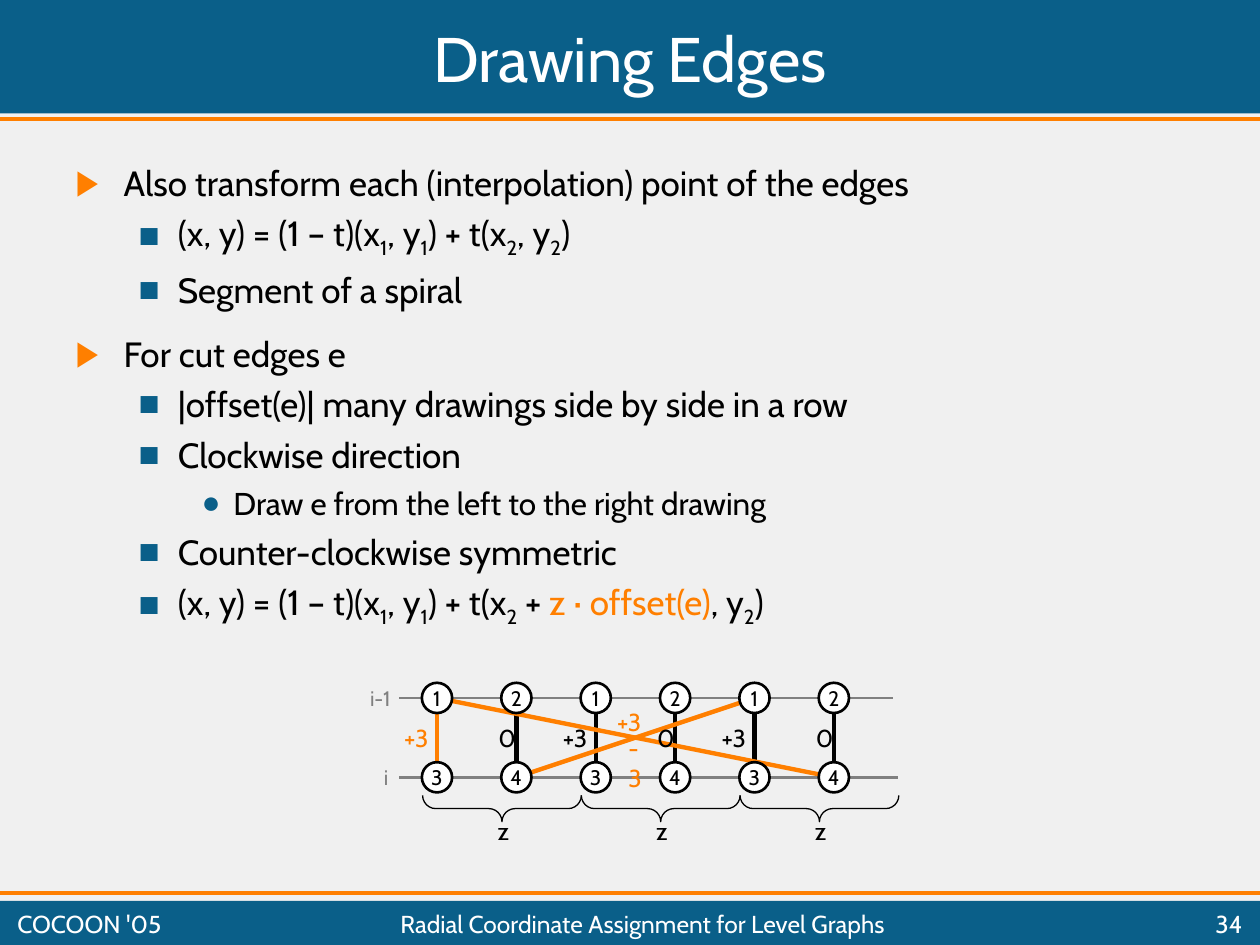
from lxml.etree import SubElement
from pptx import Presentation
from pptx.dml.color import RGBColor
from pptx.enum.shapes import MSO_CONNECTOR, MSO_SHAPE
from pptx.enum.text import MSO_ANCHOR, MSO_AUTO_SIZE, PP_ALIGN
from pptx.oxml.ns import qn
from pptx.util import Cm, Pt

FONT = "Cabin"
BLUE = RGBColor(0x0A, 0x5F, 0x89)
ORANGE = RGBColor(0xFF, 0x7F, 0x00)
GRAY = RGBColor(0x80, 0x80, 0x80)
BLACK = RGBColor(0, 0, 0)
WHITE = RGBColor(0xFF, 0xFF, 0xFF)
PAPER = RGBColor(0xF0, 0xF0, 0xF0)

# Content: a list item is (level, runs), a run is (text, style)
TITLE = "Drawing Edges"
START = [("(x, y) = (1 – t)(x", ""), ("1", "sub"), (", y", ""), ("1", "sub"),
         (") + t(x", ""), ("2", "sub")]
END = [(", y", ""), ("2", "sub"), (")", "")]
ITEMS = [
    (0, [("Also transform each (interpolation) point of the edges", "")]),
    (1, START + END),
    (1, [("Segment of a spiral", "")]),
    (0, [("For cut edges e", "")]),
    (1, [("|offset(e)| many drawings side by side in a row", "")]),
    (1, [("Clockwise direction", "")]),
    (2, [("Draw e from the left to the right drawing", "")]),
    (1, [("Counter-clockwise symmetric", "")]),
    (1, START + [(" + ", ""), ("z · offset(e)", "accent")] + END),
]
# Level: bullet, bullet colour, text indent (cm), hanging (cm), size, space before
LEVELS = [("▶", ORANGE, 0.97, 0.97, 20, 12.5),
          ("■", BLUE, 2.06, 0.79, 20, 5),
          ("●", BLUE, 3.18, 0.64, 18, 4.5)]
# Footer: text, left, width, alignment
FOOTER = [("Radial Coordinate Assignment for Level Graphs", 3.81, 18.29, PP_ALIGN.CENTER),
          ("34", 22.3, 3, PP_ALIGN.RIGHT),
          ("COCOON '05", 0.1, 3.66, PP_ALIGN.LEFT)]

# Level graph grid (cm): three drawings of width PERIOD, two columns each
TOP, BOTTOM, NODE = 14.07, 15.67, 0.61
PERIOD = 3.2
COLUMNS = [8.81 + PERIOD / 2 * i for i in range(6)]
ROWS = [(TOP, "12"), (BOTTOM, "34")]
# Labels: text, left, top, width, size, colour
LABELS = [("i-1", 7.21, 13.69, 0.99, 12, GRAY),
          ("i", 7.49, 15.29, 0.61, 12, GRAY),
          ("+3", 12.19, 14.12, 1.07, 14, ORANGE)]
for k in range(3):
    LABELS += [("0", 9.8 + PERIOD * k, 14.45, 0.79, 14, BLACK),
               ("+3", 7.9 + PERIOD * k, 14.45, 1.07, 14, BLACK if k else ORANGE),
               ("z", 9.78 + PERIOD * k, 16.33, 0.74, 14, BLACK)]

prs = Presentation()
prs.slide_width, prs.slide_height = Cm(25.4), Cm(19.05)
s = prs.slides.add_slide(prs.slide_layouts[1])
s.background.fill.solid()
s.background.fill.fore_color.rgb = PAPER


def place(sp, *box):
    sp.left, sp.top, sp.width, sp.height = [Cm(v) for v in box]


def style(r, size, color):
    r.font.name, r.font.size, r.font.color.rgb = FONT, Pt(size), color


def add_line(x1, y1, x2, y2, color, width):
    c = s.shapes.add_connector(MSO_CONNECTOR.STRAIGHT, Cm(x1), Cm(y1), Cm(x2), Cm(y2))
    c.line.color.rgb, c.line.width = color, Pt(width)
    SubElement(c._element.spPr, qn("a:effectLst"))


def add_shape(kind, box, fill=None, line=None):
    sp = s.shapes.add_shape(kind, *[Cm(v) for v in box])
    sp.shadow.inherit = False
    if fill is None:
        sp.fill.background()
    else:
        sp.fill.solid()
        sp.fill.fore_color.rgb = fill
    if line is None:
        sp.line.fill.background()
    else:
        sp.line.color.rgb, sp.line.width = BLACK, Pt(line)
    return sp


def set_text(sp, text, size, color, align=PP_ALIGN.LEFT, anchor=MSO_ANCHOR.TOP, wrap=True):
    tf = sp.text_frame
    tf.text, tf.word_wrap, tf.vertical_anchor = text, wrap, anchor
    p = tf.paragraphs[0]
    p.alignment = align
    style(p.runs[0], size, color)


def set_bullet(p, char, color, indent, hanging):
    pPr = p._p.get_or_add_pPr()
    pPr.set("marL", str(Cm(indent)))
    pPr.set("indent", str(-Cm(hanging)))
    SubElement(SubElement(pPr, qn("a:buClr")), qn("a:srgbClr"), val=str(color))
    SubElement(pPr, qn("a:buChar"), char=char)


# Bands and rules; the title and body placeholders then go in front
title, body = s.shapes.title, s.placeholders[1]
for top, height in [(0, 2.29), (18.16, 0.89)]:
    add_shape(MSO_SHAPE.RECTANGLE, (0, top, 25.4, height), BLUE)
for y in (2.39, 18.01):
    add_line(0, y, 25.4, y, ORANGE, 2.25)
for sp in (title, body):
    s.shapes._spTree.append(sp._element)

# Title
place(title, 0.1, 0.1, 25.2, 2.11)
set_text(title, TITLE, 36, WHITE, PP_ALIGN.CENTER, MSO_ANCHOR.MIDDLE)

# Bulleted list
place(body, 1.27, 3.12, 22.73, 9.65)
tf = body.text_frame
tf.auto_size = MSO_AUTO_SIZE.NONE
for i, (level, runs) in enumerate(ITEMS):
    char, color, indent, hanging, size, before = LEVELS[level]
    p = tf.add_paragraph() if i else tf.paragraphs[0]
    p.level, p.space_before = level, Pt(before)
    set_bullet(p, char, color, indent, hanging)
    for text, kind in runs:
        r = p.add_run()
        r.text = text
        style(r, size, ORANGE if kind == "accent" else BLACK)
        if kind == "sub":
            r.font._element.set("baseline", "-25000")

# Level lines and edges
add_line(8.05, BOTTOM, 18.11, BOTTOM, GRAY, 1.5)
add_line(8.05, TOP, 18.01, TOP, GRAY, 1.5)
for i, x in enumerate(COLUMNS):
    add_line(x, TOP, x, BOTTOM, BLACK if i else ORANGE, 2.5)
for start, end in [(0, 5), (4, 1)]:
    add_line(COLUMNS[start], TOP, COLUMNS[end], BOTTOM, ORANGE, 2.5)

# Nodes
for y, names in ROWS:
    for i, x in enumerate(COLUMNS):
        sp = add_shape(MSO_SHAPE.OVAL, (x - NODE / 2, y - NODE / 2, NODE, NODE), WHITE, 1.5)
        set_text(sp, names[i % 2], 12, BLACK, PP_ALIGN.CENTER, MSO_ANCHOR.MIDDLE, False)

# Braces: upright boxes turned to point down
for k in range(3):
    x, y, depth = 10.12 + PERIOD * k, 16.3, 0.53
    sp = add_shape(MSO_SHAPE.LEFT_BRACE,
                   (x - depth / 2, y - PERIOD / 2, depth, PERIOD), line=0.75)
    sp.adjustments[0] = 0.5
    sp.rotation = 270

# Labels
for text, left, top, width, size, color in LABELS:
    tb = s.shapes.add_textbox(Cm(left), Cm(top), Cm(width), Cm(0.06 * size))
    set_text(tb, text, size, color, wrap=False)
    tb.text_frame.auto_size = MSO_AUTO_SIZE.SHAPE_TO_FIT_TEXT
tb = s.shapes.add_textbox(Cm(12.42), Cm(14.66), Cm(0.84), Cm(0.86))
set_text(tb, "-3", 14, ORANGE)

# Footer
for text, left, width, align in FOOTER:
    tb = s.shapes.add_textbox(Cm(left), Cm(18.26), Cm(width), Cm(0.71))
    set_text(tb, text, 14, WHITE, align, MSO_ANCHOR.MIDDLE)

prs.save("out.pptx")
